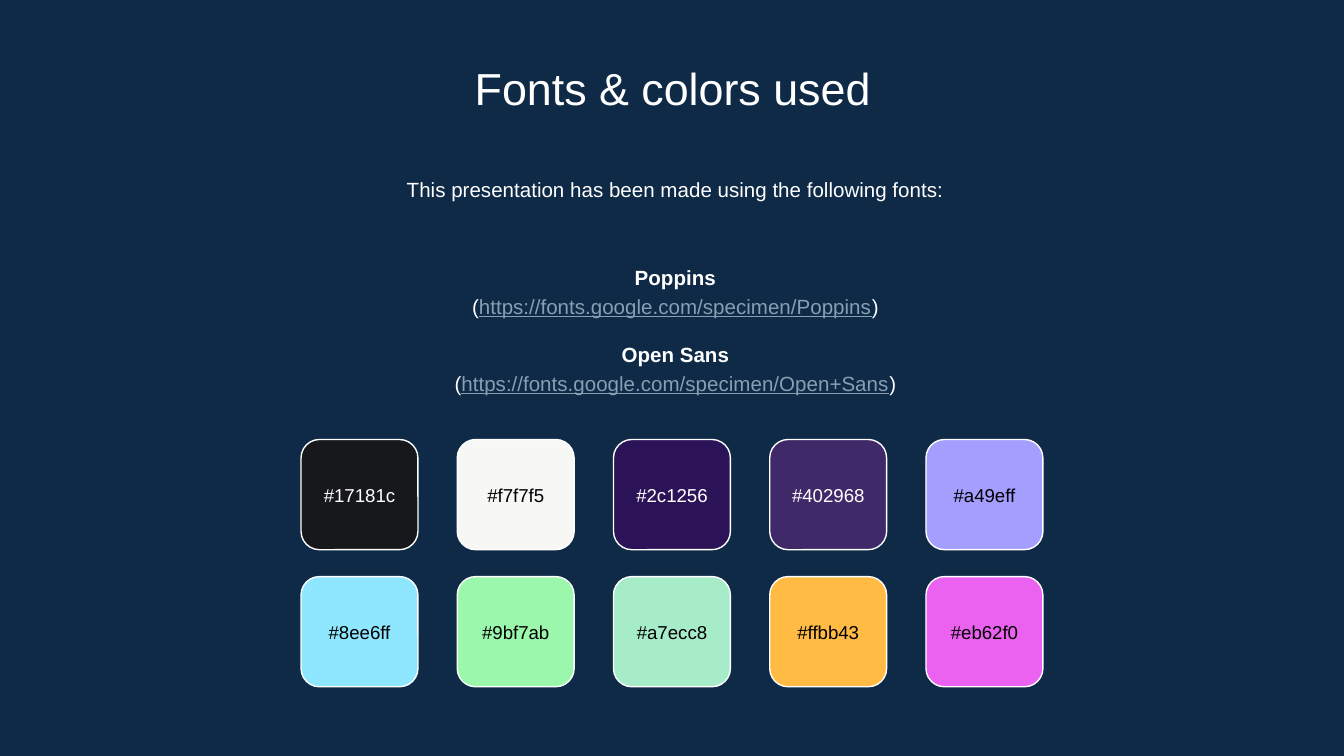
import pptx
import pptx.util
import pptx.dml.color
import pptx.enum.shapes
import pptx.enum.text

Inches, Pt = pptx.util.Inches, pptx.util.Pt
rgb = pptx.dml.color.RGBColor.from_string
anchor = pptx.enum.text.MSO_ANCHOR

colors = {"back": "0E2A47", "white": "FFFFFF", "black": "000000", "link": "869FB2"}
swatches = [
    ["17181c", "f7f7f5", "2c1256", "402968", "a49eff"],
    ["8ee6ff", "9bf7ab", "a7ecc8", "ffbb43", "eb62f0"],
]
dark = ["17181c", "2c1256", "402968"]
fonts = [
    ("Poppins", "https://fonts.google.com/specimen/Poppins"),
    ("Open Sans", "https://fonts.google.com/specimen/Open+Sans"),
]


def write(para, text, size, color="white", **format):
    """Add a run to a centred paragraph."""
    para.alignment = pptx.enum.text.PP_ALIGN.CENTER
    run = para.add_run()
    run.text = text
    values = {"name": "Arial", "size": Pt(size), **format}
    for key, value in values.items():
        setattr(run.font, key, value)
    run.font.color.rgb = rgb(colors[color])


def add_box(left, top, width, height, place=anchor.TOP):
    frame = slide.shapes.add_textbox(
        Inches(left), Inches(top), Inches(width), Inches(height)).text_frame
    values = {"word_wrap": True, "vertical_anchor": place}
    for side in ("left", "top", "right", "bottom"):
        values["margin_" + side] = Inches(0.1)
    for key, value in values.items():
        setattr(frame, key, value)
    return frame


deck = pptx.Presentation()
deck.slide_width = Inches(10)
deck.slide_height = deck.slide_width * 9 // 16
slide = deck.slides.add_slide(deck.slide_layouts[6])
slide.background.fill.solid()
slide.background.fill.fore_color.rgb = rgb(colors["back"])

# Title and intro
title = add_box(1.15, 0.35, 7.71, 0.53)
write(title.paragraphs[0], "Fonts & colors used", 24)

intro = add_box(1.17, 1.19, 7.71, 0.48).paragraphs[0]
intro.line_spacing = 1.15
write(intro, "This presentation has been made using the following fonts:", 11)

# Font names with their links
body = add_box(1.17, 1.76, 7.71, 1.37, anchor.MIDDLE)
for index, (name, link) in enumerate(fonts):
    head = body.add_paragraph() if index else body.paragraphs[0]
    if index:
        head.space_before = Pt(11)
    write(head, name, 11, bold=True)
    line = body.add_paragraph()
    write(line, "(", 11)
    write(line, link, 11, "link", underline=True)
    write(line, ")", 11)
    head.line_spacing = line.line_spacing = 1.15

# Colour swatches, each with its code on top
for row, codes in enumerate(swatches):
    for col, code in enumerate(codes):
        left, top = 2.24 + 1.1625 * col, 3.27 + 1.02 * row
        tile = slide.shapes.add_shape(
            pptx.enum.shapes.MSO_SHAPE.ROUNDED_RECTANGLE,
            Inches(left), Inches(top), Inches(0.87), Inches(0.82))
        tile.shadow.inherit = False
        tile.fill.solid()
        tile.fill.fore_color.rgb = rgb(code.upper())
        tile.line.color.rgb = rgb(colors["white"])
        tile.line.width = Pt(0.75)
        label = add_box(left, top + 0.17, 0.87, 0.48, anchor.MIDDLE)
        write(label.paragraphs[0], "#" + code, 10, "white" if code in dark else "black")

deck.save("out.pptx")
